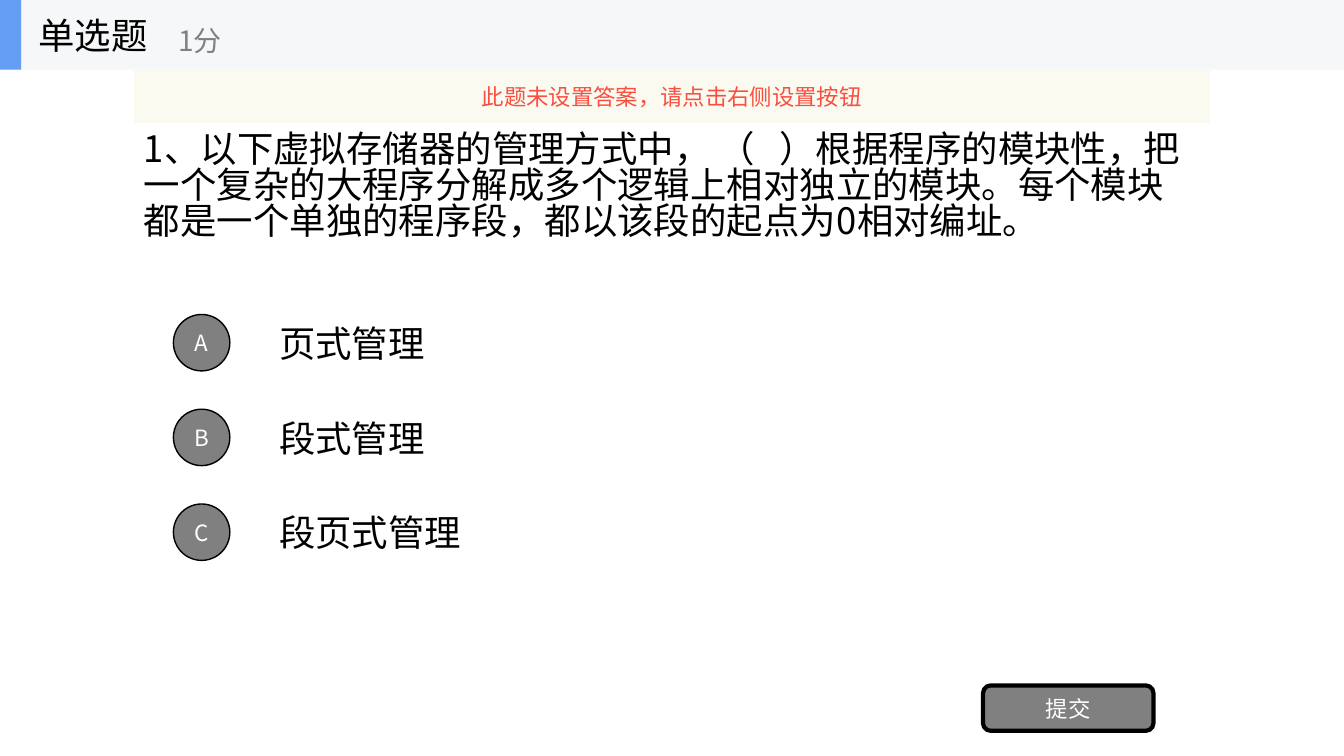
from dataclasses import dataclass

from lxml.etree import SubElement
from pptx import Presentation
from pptx.dml.color import RGBColor as RGB
from pptx.enum.shapes import MSO_SHAPE as SHAPE
from pptx.enum.text import MSO_ANCHOR as ANCHOR, MSO_AUTO_SIZE as AUTO, PP_ALIGN as ALIGN
from pptx.oxml.ns import qn
from pptx.util import Inches, Pt


@dataclass(frozen=True)
class Theme:
    font: str = "Noto Sans CJK SC"
    black: str = "000000"
    white: str = "FFFFFF"
    gray: str = "808080"
    header: str = "F6F7F8"
    accent: str = "639EF4"
    banner: str = "FBFAEF"
    warning: str = "F84F41"
    body: int = 26
    score: int = 20
    label: int = 16


class QuizSlide:
    """Builds the elements of a quiz slide in one shared style."""

    def __init__(self, prs, theme):
        self.theme = theme
        self.s = prs.slides.add_slide(prs.slide_layouts[5])

    def set_text(self, sp, text, size, color, align=ALIGN.LEFT, wrap=True, spacing=None):
        tf = sp.text_frame
        tf.text = text
        tf.word_wrap = wrap
        tf.auto_size = AUTO.NONE
        tf.vertical_anchor = ANCHOR.MIDDLE
        p = tf.paragraphs[0]
        p.alignment = align
        p.line_spacing = spacing
        p.font.name = self.theme.font
        p.font.size = Pt(size)
        p.font.color.rgb = RGB.from_string(color)
        SubElement(p.font._element, qn("a:ea"), typeface=self.theme.font)

    def title(self, text, x, y, w, h):
        sp = self.s.shapes.title
        sp.left, sp.top, sp.width, sp.height = map(Inches, (x, y, w, h))
        self.set_text(sp, text, self.theme.body, self.theme.black, wrap=False)
        self.s.shapes.element.append(sp.element)

    def text(self, text, x, y, w, h, size, color, **style):
        sp = self.s.shapes.add_textbox(*map(Inches, (x, y, w, h)))
        self.set_text(sp, text, size, color, **style)

    def shape(self, kind, x, y, w, h, fill, border=0, alpha=None):
        sp = self.s.shapes.add_shape(kind, *map(Inches, (x, y, w, h)))
        sp.shadow.inherit = False
        sp.fill.solid()
        sp.fill.fore_color.rgb = RGB.from_string(fill)
        if alpha:
            color = sp.element.spPr.find(qn("a:solidFill"))[0]
            SubElement(color, qn("a:alpha"), val=str(alpha * 1000))
        if border:
            sp.line.color.rgb = RGB.from_string(self.theme.black)
            sp.line.width = Pt(border)
        else:
            sp.line.fill.background()
        return sp

    def button(self, kind, text, x, y, w, h, border):
        sp = self.shape(kind, x, y, w, h, self.theme.gray, border)
        self.set_text(sp, text, self.theme.label, self.theme.white, ALIGN.CENTER)

    def banner(self, text, x, y, w, h):
        sp = self.shape(SHAPE.RECTANGLE, x, y, w, h, self.theme.banner, alpha=90)
        self.set_text(sp, text, self.theme.label, self.theme.warning, ALIGN.CENTER)

    def option(self, letter, text, y):
        self.text(text, 2.67, y, 9.33, 0.7, self.theme.body, self.theme.black)
        self.button(SHAPE.OVAL, letter, 1.72, y + 0.07, 0.56, 0.56, 1)


def main():
    prs = Presentation()
    prs.slide_width, prs.slide_height = Inches(13.33), Inches(7.5)
    theme = Theme()
    quiz = QuizSlide(prs, theme)

    quiz.text(
        "1、以下虚拟存储器的管理方式中， （   ）根据程序的模块性，"
        "把一个复杂的大程序分解成多个逻辑上相对独立的模块。"
        "每个模块都是一个单独的程序段，都以该段的起点为0相对编址。",
        1.33, 0.69, 10.67, 2.34, theme.body, theme.black, spacing=0.83)
    for i, (letter, answer) in enumerate(zip("ABC", ("页式管理", "段式管理", "段页式管理"))):
        quiz.option(letter, answer, 3.05 + i * 0.94)
    quiz.button(SHAPE.ROUNDED_RECTANGLE, "提交", 9.75, 6.8, 1.69, 0.45, 3)

    quiz.shape(SHAPE.RECTANGLE, 0, 0, 13.33, 0.69, theme.header)
    quiz.shape(SHAPE.RECTANGLE, 0, 0, 0.21, 0.69, theme.accent)
    quiz.title("单选题", 0.28, 0, 2.08, 0.69)
    quiz.text("1分", 1.67, 0.12, 2.5, 0.56, theme.score, theme.gray)
    quiz.banner("此题未设置答案，请点击右侧设置按钮", 1.33, 0.69, 10.67, 0.53)

    prs.save("out.pptx")


if __name__ == "__main__":
    main()
